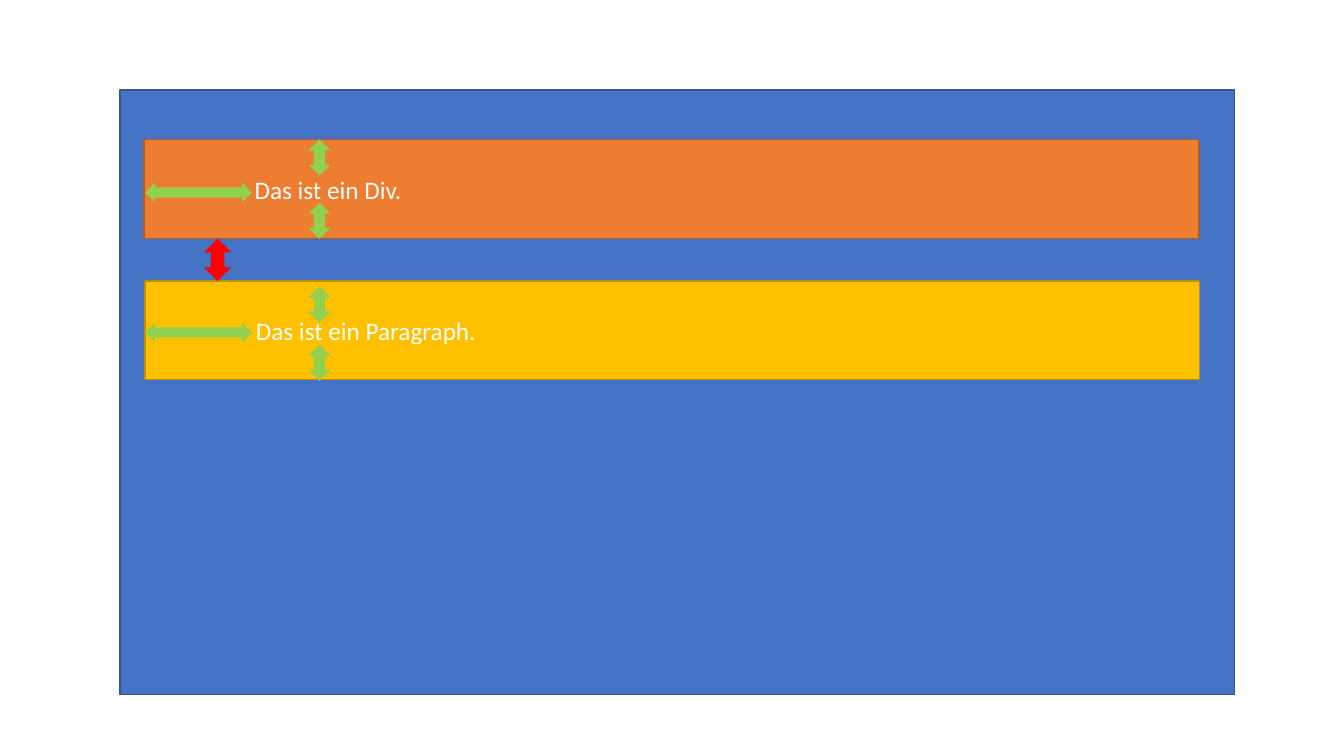
from lxml.etree import SubElement
from pptx import Presentation
from pptx.dml.color import RGBColor
from pptx.enum.shapes import MSO_SHAPE
from pptx.enum.text import MSO_ANCHOR, PP_ALIGN
from pptx.oxml.ns import qn
from pptx.util import Inches, Pt

WIDTH, HEIGHT = Inches(13.33), Inches(7.5)
COL, ROW = WIDTH / 100, HEIGHT / 100  # grid of 100 columns and 100 rows
BOX_H = 13.07
PAD_X, PAD_W, PAD_H = 22.95, 1.65, 4.8
GREEN, RED = "92D050", "FF0000"


def paint(fill, tone):
    """Give a fill or a line format a solid colour."""
    fill.solid()
    fill.fore_color.rgb = RGBColor.from_string(tone)


def add_form(slide, kind, area, tone, edge=None):
    """Add a preset shape; area is left, top, width, height on the grid."""
    left, top, wide, high = area
    form = slide.shapes.add_shape(kind, round(left * COL), round(top * ROW),
                                  round(wide * COL), round(high * ROW))
    form.shadow.inherit = False
    paint(form.fill, tone)
    if edge:
        paint(form.line.fill, edge)
        form.line.width = Pt(1)
    else:
        form.line.fill.background()
    return form


def set_tab(line, stop):
    """Set one left tab stop on a paragraph."""
    tabs = SubElement(line._p.get_or_add_pPr(), qn("a:tabLst"))
    SubElement(tabs, qn("a:tab"), pos=str(stop), algn="l")


def add_box(slide, area, tone, edge, text):
    """Add an element box with its indented label."""
    frame = add_form(slide, MSO_SHAPE.RECTANGLE, area, tone, edge).text_frame
    frame.text = "\t" + text
    frame.vertical_anchor = MSO_ANCHOR.MIDDLE
    line = frame.paragraphs[0]
    line.alignment = PP_ALIGN.LEFT
    set_tab(line, Inches(1))
    font = line.runs[0].font
    font.name, font.size = "Calibri", Pt(18)
    font.color.rgb = RGBColor.from_string("FFFFFF")


def add_pads(slide, side, upper, lower):
    """Add the green padding arrows: left, above and below the label."""
    add_form(slide, MSO_SHAPE.LEFT_RIGHT_ARROW, (10.8, side, 7.95, 2.67), GREEN)
    for top in (upper, lower):
        add_form(slide, MSO_SHAPE.UP_DOWN_ARROW,
                 (PAD_X, top, PAD_W, PAD_H), GREEN)


def main():
    """Build the slide on margin and padding."""
    deck = Presentation()
    deck.slide_width, deck.slide_height = WIDTH, HEIGHT
    slide = deck.slides.add_slide(deck.slide_layouts[6])
    add_form(slide, MSO_SHAPE.RECTANGLE, (8.93, 11.9, 82.93, 80),
             "4472C4", "325491")
    add_box(slide, (10.7, 18.46, 78.5, BOX_H), "ED7D31", "AF5C24",
            "Das ist ein Div.")
    add_box(slide, (10.8, 37.15, 78.43, BOX_H), "FFC000", "BD8E00",
            "Das ist ein Paragraph.")
    add_form(slide, MSO_SHAPE.UP_DOWN_ARROW, (15.18, 31.57, 2.03, 5.6), RED)
    add_pads(slide, 24.13, 18.45, 26.8)
    add_pads(slide, 42.65, 37.87, 45.6)
    deck.save("out.pptx")


main()
